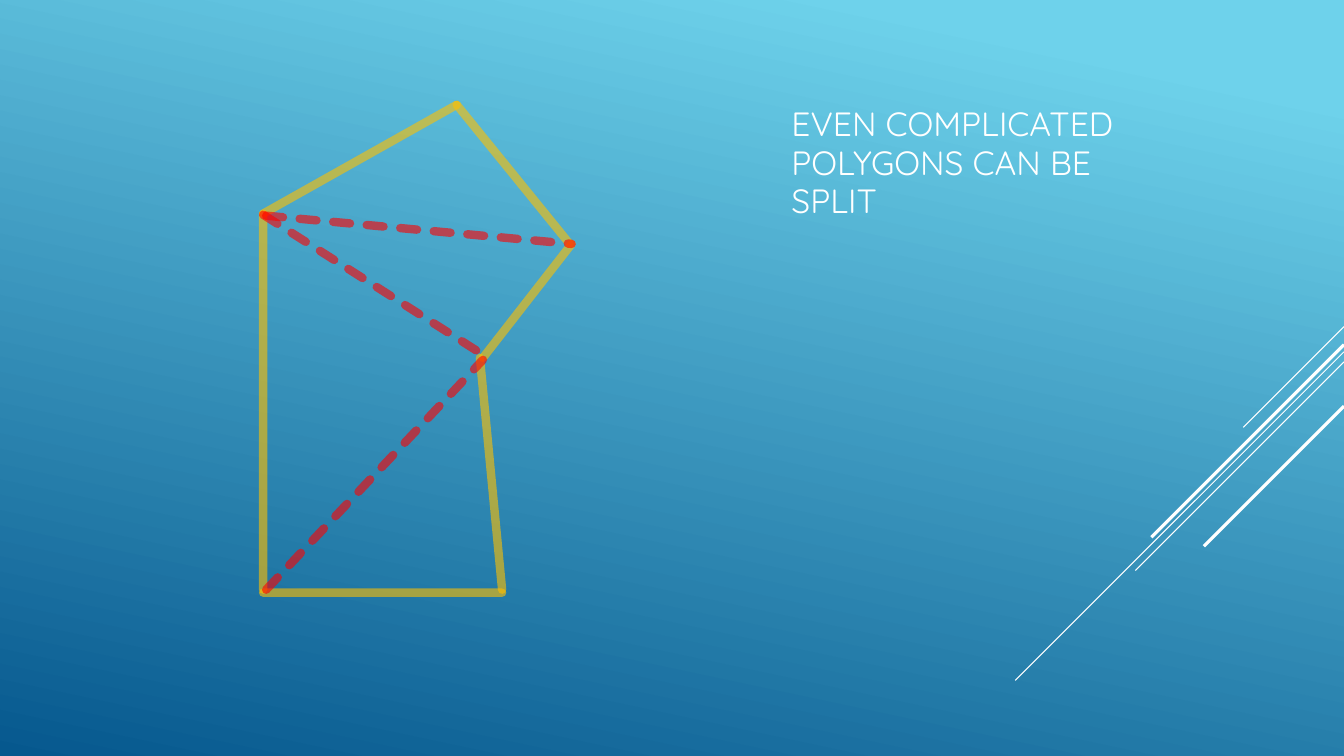
from lxml import etree
from pptx import Presentation, util as u
from pptx.dml.color import RGBColor
from pptx.enum import dml, shapes, text
from pptx.oxml import ns

PX = 9144
WIDE, HIGH = 1333, 750
WHITE = RGBColor(0xFF, 0xFF, 0xFF)
GOLD = RGBColor(0xFF, 0xC0, 0x00)
RED = RGBColor(0xFF, 0x00, 0x00)
SKY = RGBColor(0x6E, 0xD2, 0xEB)
NAVY = RGBColor(0x06, 0x58, 0x8E)

RAYS = [(324, 100, 0.75), (349, 326, 0.75), (359, 207, 0.75),
        (342, 191, 2.25), (403, 139, 2.25)]
EDGES = [(0, 108, 192, 0), (192, 0, 304, 138), (306, 138, 218, 251),
         (215, 251, 237, 481), (237, 484, 0, 484), (0, 481, 0, 108)]
SPLITS = [(3, 110, 306, 138), (0, 109, 223, 251), (3, 481, 218, 253)]


def draw_line(parent, box, ends, color, weight, alpha=None, dash=None):
    """Draw a line whose ends are measured from the corner of the box."""
    left, top = box[:2]
    x1, y1, x2, y2 = ends
    line = parent.add_connector(
        shapes.MSO_CONNECTOR.STRAIGHT,
        (left + x1) * PX, (top + y1) * PX, (left + x2) * PX, (top + y2) * PX)
    line.line.color.rgb = color
    line.line.width = u.Pt(weight)
    if dash:
        line.line.dash_style = dash
    props = line._element.spPr
    if alpha:
        props.find(ns.qn("a:ln")).set("cap", "rnd")
        tint = props.find(".//" + ns.qn("a:srgbClr"))
        etree.SubElement(tint, ns.qn("a:alpha")).set("val", str(alpha * 1000))
    etree.SubElement(props, ns.qn("a:effectLst"))


def paint_back(slide):
    """Fill the background with a slanted gradient from sky to navy."""
    fill = slide.background.fill
    fill.gradient()
    fill.gradient_angle = 360 - 102
    for stop, color, place in zip(fill.gradient_stops, (SKY, NAVY), (0.1, 1)):
        stop.color.rgb = color
        stop.position = place


def add_rays(slide, box):
    """Draw diagonal rays falling from the right edge of the box."""
    group = slide.shapes.add_group_shape()
    right = box[2]
    for top, run, weight in RAYS:
        draw_line(group.shapes, box, (right, top, right - run, top + run),
                  WHITE, weight)


def add_title(slide, box):
    """Place the title at the foot of the box."""
    title = slide.shapes.title
    title.left, title.top, title.width, title.height = (n * PX for n in box)
    frame = title.text_frame
    frame.word_wrap = True
    frame.auto_size = text.MSO_AUTO_SIZE.NONE
    frame.vertical_anchor = text.MSO_ANCHOR.BOTTOM
    frame.text = "EVEN COMPLICATED\vPOLYGONS CAN BE SPLIT"
    para = frame.paragraphs[0]
    para.alignment = text.PP_ALIGN.LEFT
    para.line_spacing = 0.96
    para.space_before = u.Pt(0)
    para.font.name = "Quicksand"
    para.font.size = u.Pt(24)
    para.font.color.rgb = WHITE


def add_polygon(slide, box):
    """Draw the polygon's edges and the dashed lines that split it."""
    group = slide.shapes.add_group_shape()
    for ends in EDGES:
        draw_line(group.shapes, box, ends, GOLD, 6, 60)
    for ends in SPLITS:
        draw_line(slide.shapes, box, ends, RED, 6, 60,
                  dml.MSO_LINE.SQUARE_DOT)


def main():
    """Build and save the slide."""
    deck = Presentation()
    deck.slide_width, deck.slide_height = WIDE * PX, HIGH * PX
    slide = deck.slides.add_slide(deck.slide_layouts[5])
    paint_back(slide)
    add_rays(slide, (0, 0, WIDE, HIGH))
    add_title(slide, (775, 75, 400, 150))
    add_polygon(slide, (261, 104, 306, 484))
    deck.save("out.pptx")


if __name__ == "__main__":
    main()
